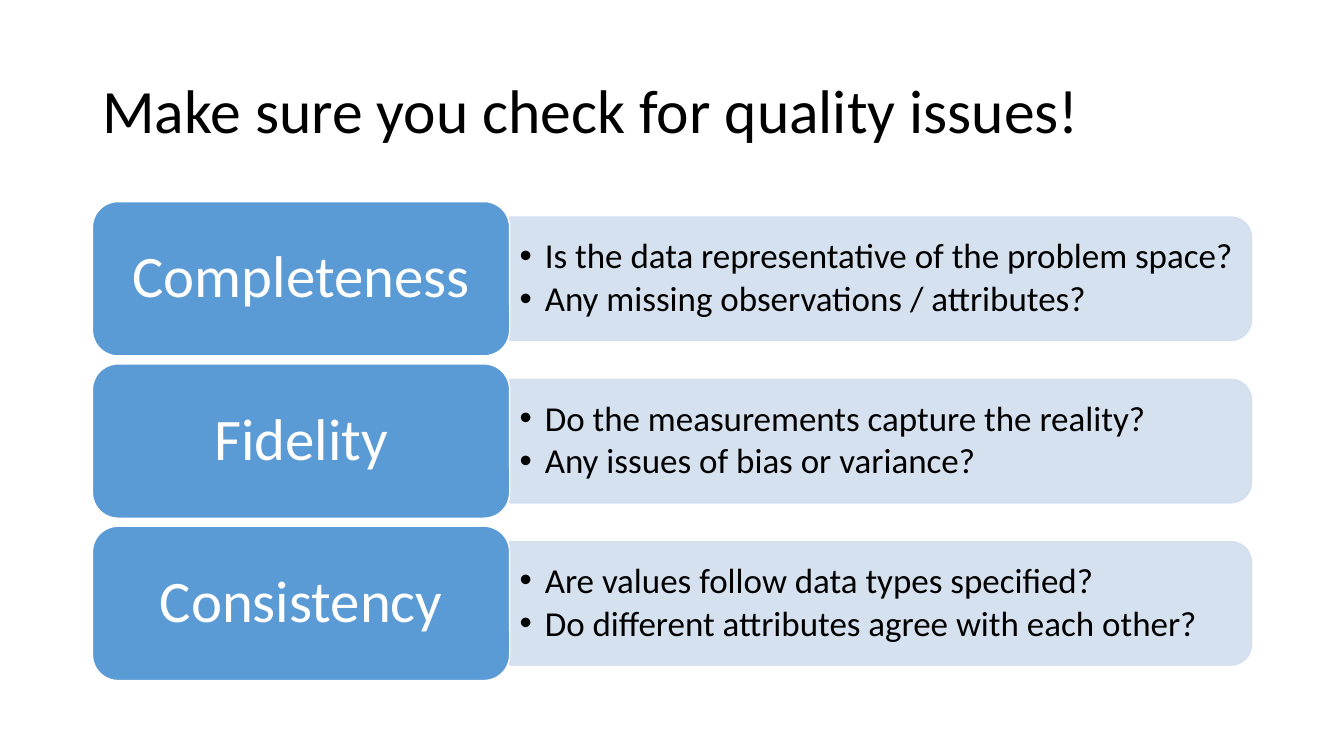
from dataclasses import dataclass

from lxml.etree import SubElement
from pptx import Presentation
from pptx.dml.color import RGBColor
from pptx.enum.shapes import MSO_SHAPE
from pptx.enum.text import MSO_ANCHOR, PP_ALIGN
from pptx.oxml.ns import qn
from pptx.util import Cm, Pt


@dataclass(frozen=True)
class Theme:
    """Colours, font and type sizes of the slide."""
    font: str = "Calibri"
    black: RGBColor = RGBColor(0x00, 0x00, 0x00)
    white: RGBColor = RGBColor(0xFF, 0xFF, 0xFF)
    blue: RGBColor = RGBColor(0x5B, 0x9B, 0xD5)
    pale: RGBColor = RGBColor(0xD2, 0xDE, 0xEF)
    title: Pt = Pt(44)
    label: Pt = Pt(42)
    body: Pt = Pt(25)
    line: Pt = Pt(1)


THEME = Theme()
TITLE = "Make sure you check for quality issues!"
CHECKS = [
    ("Completeness", ["Is the data representative of the problem space?",
                      "Any missing observations / attributes?"]),
    ("Fidelity", ["Do the measurements capture the reality?",
                  "Any issues of bias or variance?"]),
    ("Consistency", ["Are values follow data types specified?",
                     "Do different attributes agree with each other?"]),
]


def add_shape(s, kind, x, y, w, h, fill, line):
    """Add a filled, outlined shape without shadow."""
    sp = s.shapes.add_shape(kind, Cm(x), Cm(y), Cm(w), Cm(h))
    sp.shadow.inherit = False
    sp.fill.solid()
    sp.fill.fore_color.rgb = fill
    sp.line.color.rgb = line
    sp.line.width = THEME.line
    return sp


def set_alpha(sp, percent):
    """Make the fill and outline of a shape partly transparent."""
    for color in sp._element.spPr.iter(qn("a:srgbClr")):
        SubElement(color, qn("a:alpha"), val=str(percent * 1000))


def add_text(s, x, y, w, h, lines, size, color, inset=(0.25, 0.13)):
    """Add a wrapped, vertically centred text box and return its frame."""
    tf = s.shapes.add_textbox(Cm(x), Cm(y), Cm(w), Cm(h)).text_frame
    tf.word_wrap = True
    tf.vertical_anchor = MSO_ANCHOR.MIDDLE
    tf.margin_left = tf.margin_right = Cm(inset[0])
    tf.margin_top = tf.margin_bottom = Cm(inset[1])
    tf.text = "\n".join(lines)
    for p in tf.paragraphs:
        p.line_spacing = 0.9
        for r in p.runs:
            r.font.name = THEME.font
            r.font.size = size
            r.font.color.rgb = color
    return tf


def add_bullets(tf):
    """Give each paragraph a hanging bullet."""
    for p in tf.paragraphs:
        p.level = 1
        p.space_after = Pt(3.5)
        pPr = p._p.get_or_add_pPr()
        pPr.set("marL", str(Cm(0.635)))
        pPr.set("indent", str(-Cm(0.635)))
        SubElement(pPr, qn("a:buFont"), typeface="Arial")
        SubElement(pPr, qn("a:buChar"), char="•")


def add_panel(s, x, y, w, h, questions):
    """Draw the pale panel, rounded on its right, with its questions."""
    sp = add_shape(s, MSO_SHAPE.ROUND_2_SAME_RECTANGLE,
                   x + (w - h) / 2, y + (h - w) / 2, h, w,
                   THEME.pale, THEME.pale)
    sp.rotation = 90
    set_alpha(sp, 90)
    tf = add_text(s, x, y + 0.15, w - 0.15, h - 0.3, questions,
                  THEME.body, THEME.black)
    add_bullets(tf)


def add_label(s, x, y, w, h, name):
    """Draw the blue block with the name of the check."""
    add_shape(s, MSO_SHAPE.ROUNDED_RECTANGLE, x, y, w, h,
              THEME.blue, THEME.white)
    pad = 0.19
    tf = add_text(s, x + pad, y + pad, w - 2 * pad, h - 2 * pad, [name],
                  THEME.label, THEME.white, inset=(0.43, 0.22))
    tf.paragraphs[0].alignment = PP_ALIGN.CENTER


def add_checks(s, x, y, w, h, checks, gap=0.2):
    """Stack one label and panel row per check in the box."""
    row_h = (h - gap * (len(checks) - 1)) / len(checks)
    label_w, panel_h = w * 0.36, row_h * 0.8
    for i, (name, questions) in enumerate(checks):
        top = y + i * (row_h + gap)
        add_panel(s, x + label_w, top + (row_h - panel_h) / 2,
                  w - label_w, panel_h, questions)
        add_label(s, x, top, label_w, row_h, name)


def main():
    """Build and save the slide."""
    prs = Presentation()
    prs.slide_width, prs.slide_height = Cm(33.87), Cm(19.05)
    s = prs.slides.add_slide(prs.slide_layouts[6])
    add_text(s, 2.33, 1.01, 29.21, 3.68, [TITLE], THEME.title, THEME.black)
    add_checks(s, 2.33, 5.08, 29.21, 12.07, CHECKS)
    prs.save("out.pptx")


if __name__ == "__main__":
    main()
